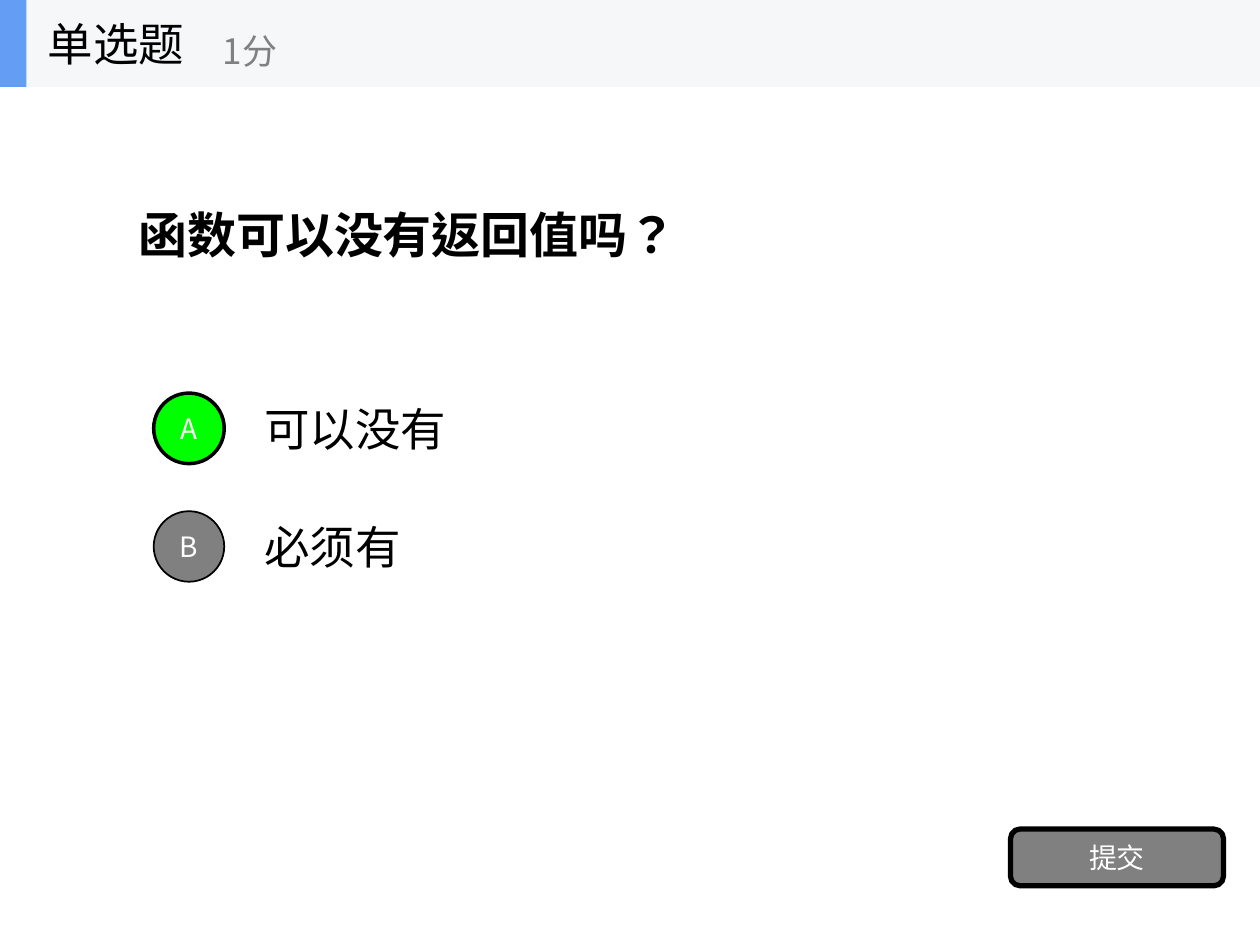
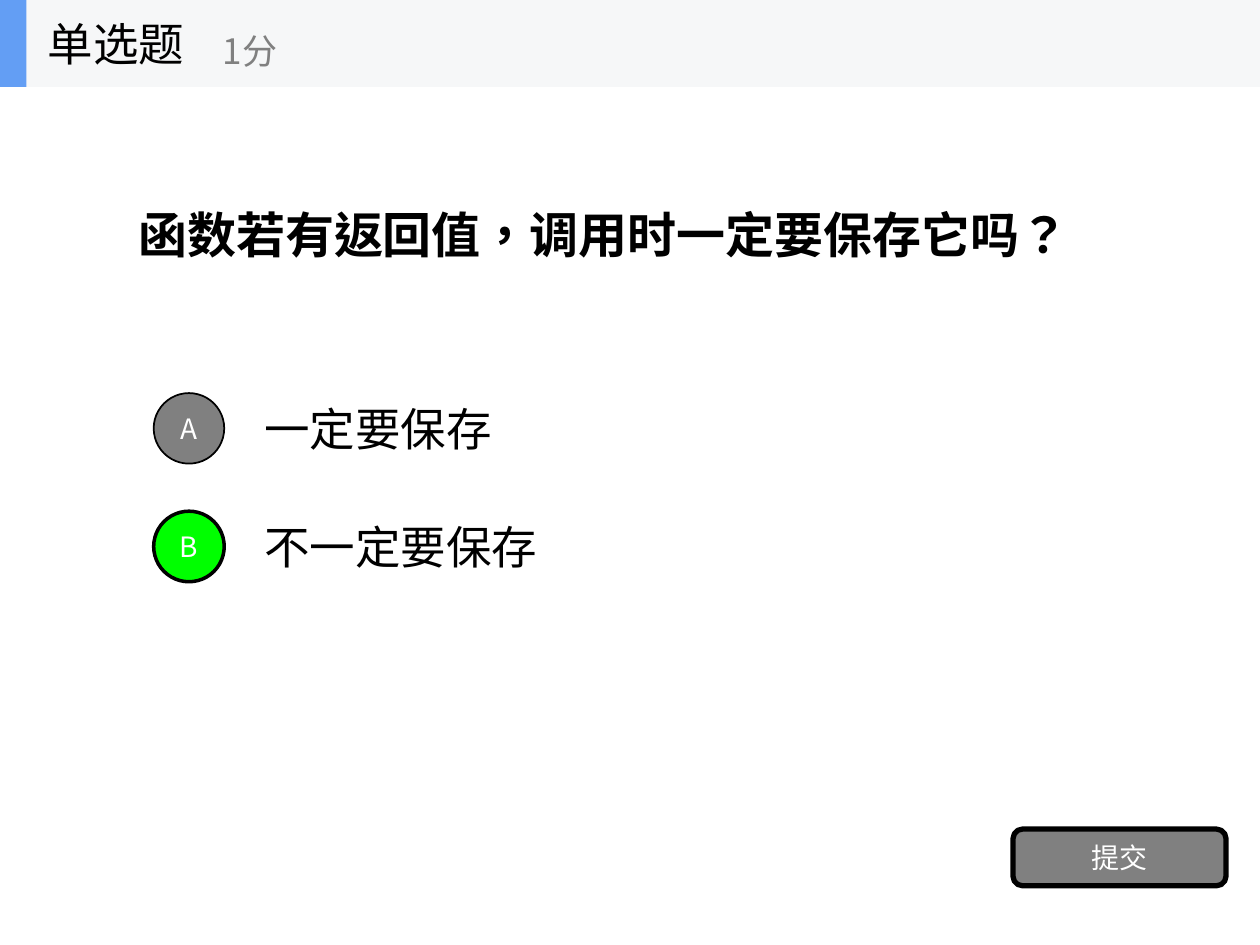
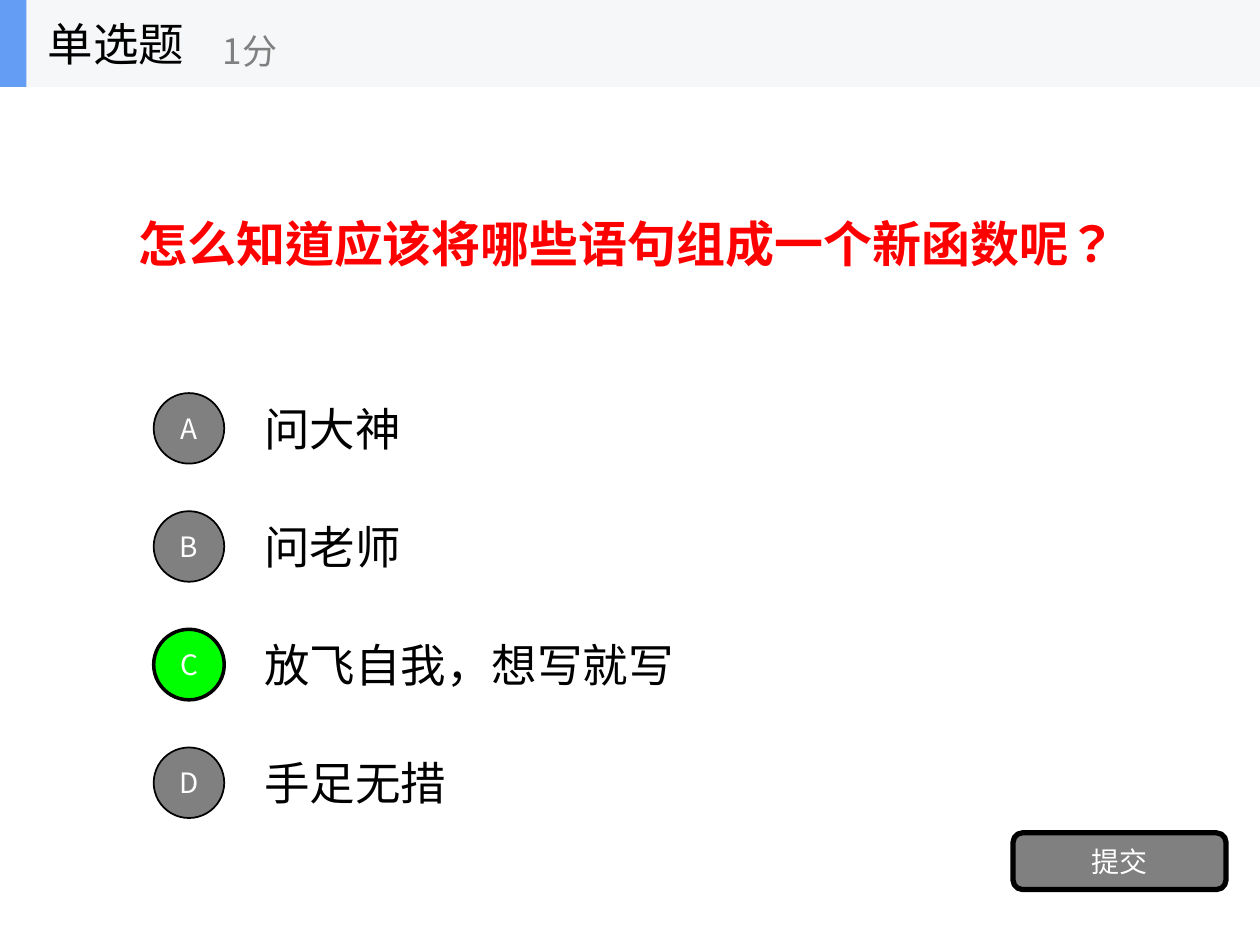
from dataclasses import dataclass

from pptx import Presentation, util as u
from pptx.dml.color import RGBColor
from pptx.enum import lang, shapes, text
from pptx.oxml import ns

# Grid: square cells, 100 columns by 75 rows
COLS, ROWS = 100, 75
CELL = u.Inches(10) // COLS
OPTION_PITCH = ROWS / 8

FONT = "Noto Sans CJK SC"
COLORS = {
    "ink": "000000", "white": "FFFFFF", "grey": "808080", "band": "F6F7F8",
    "accent": "639EF4", "correct": "00FF00", "alert": "FF0000",
}
FORMATS = {
    "question": {"size": u.Pt(28), "bold": True,
                 "language_id": lang.MSO_LANGUAGE_ID.TRADITIONAL_CHINESE},
    "body": {"size": u.Pt(26), "language_id": lang.MSO_LANGUAGE_ID.SIMPLIFIED_CHINESE},
    "points": {"size": u.Pt(20), "language_id": lang.MSO_LANGUAGE_ID.SIMPLIFIED_CHINESE},
    "button": {"size": u.Pt(16), "language_id": lang.MSO_LANGUAGE_ID.SIMPLIFIED_CHINESE},
}

QUIZZES = [
    {"question": "函数可以没有返回值吗？",
     "options": ["可以没有", "必须有"], "correct": 0, "submit_at": (80.2, 65.8)},
    {"question": "函数若有返回值，调用时一定要保存它吗？",
     "options": ["一定要保存", "不一定要保存"], "correct": 1, "submit_at": (80.4, 65.8)},
    {"question": "怎么知道应该将哪些语句组成一个新函数呢？",
     "options": ["问大神", "问老师", "放飞自我，想写就写", "手足无措"],
     "correct": 2, "submit_at": (80.4, 66.1), "color": "alert", "spacing": 1.3},
]


@dataclass
class Box:
    """A rectangle in grid columns and rows."""
    col: float
    row: float
    width: float
    height: float

    def inner(self, col, row, width, height):
        return Box(self.col + col, self.row + row, width, height)

    def emu(self):
        return [round(n * CELL) for n in (self.col, self.row, self.width, self.height)]


def rgb(name):
    return RGBColor.from_string(COLORS[name])


def write(shape, words, style, color, align=text.PP_ALIGN.LEFT, spacing=None):
    frame = shape.text_frame
    frame.word_wrap = True
    frame.vertical_anchor = text.MSO_ANCHOR.MIDDLE
    paragraph = frame.paragraphs[0]
    paragraph.alignment = align
    paragraph.line_spacing = spacing
    run = paragraph.add_run()
    run.text = words
    for key, value in FORMATS[style].items():
        setattr(run.font, key, value)
    run.font.color.rgb = rgb(color)
    run.font.name = FONT
    # East Asian characters take their own typeface entry
    east_asian = run.font._element.makeelement(ns.qn("a:ea"), {"typeface": FONT})
    run.font._element.find(ns.qn("a:latin")).addnext(east_asian)


def add_words(parent, box, words, style, color="ink", **layout):
    write(parent.add_textbox(*box.emu()), words, style, color, **layout)


def add_block(parent, kind, box, fill, line=None):
    block = parent.add_shape(kind, *box.emu())
    block.shadow.inherit = False
    block.fill.solid()
    block.fill.fore_color.rgb = rgb(fill)
    if line:
        block.line.color.rgb = rgb("ink")
        block.line.width = u.Pt(line)
    else:
        block.line.fill.background()
    return block


def add_button(parent, kind, box, words, fill, line):
    button = add_block(parent, kind, box, fill, line)
    if kind == shapes.MSO_SHAPE.OVAL:
        for side in ("left", "right", "top", "bottom"):
            setattr(button.text_frame, f"margin_{side}", 0)
    write(button, words, "button", "white", text.PP_ALIGN.CENTER)


def add_options(parent, box, options, correct):
    rows = [box.inner(0, i * OPTION_PITCH, box.width, 7) for i in range(len(options))]
    for row, option in zip(rows, options):
        add_words(parent, row.inner(10, 0, row.width - 10, row.height), option, "body")
    for i, (row, letter) in enumerate(zip(rows, "ABCD")):
        fill, line = ("correct", 2) if i == correct else ("grey", 1)
        add_button(parent, shapes.MSO_SHAPE.OVAL, row.inner(2.2, 0.7, 5.6, 5.6),
                   letter, fill, line)


def add_header(parent, box):
    header = parent.add_group_shape().shapes
    add_block(header, shapes.MSO_SHAPE.RECTANGLE, box, "band")
    add_block(header, shapes.MSO_SHAPE.RECTANGLE, box.inner(0, 0, 2.1, box.height), "accent")
    add_words(header, box.inner(2.8, 0, 20.8, box.height), "单选题", "body")
    add_words(header, box.inner(16.7, 1.2, 25, 5.6), "1分", "points", "grey")


def add_quiz(deck, quiz):
    parent = deck.slides.add_slide(deck.slide_layouts[6]).shapes
    add_words(parent, Box(10, 6.9, 80, 23.4), quiz["question"], "question",
              quiz.get("color", "ink"), spacing=quiz.get("spacing"))
    add_options(parent, Box(10, 30.5, 80, 4 * OPTION_PITCH), quiz["options"], quiz["correct"])
    add_button(parent, shapes.MSO_SHAPE.ROUNDED_RECTANGLE,
               Box(*quiz["submit_at"], 16.9, 4.5), "提交", "grey", 3)
    add_header(parent, Box(0, 0, COLS, 6.9))


def main():
    deck = Presentation()
    deck.slide_width, deck.slide_height = COLS * CELL, ROWS * CELL
    for quiz in QUIZZES:
        add_quiz(deck, quiz)
    deck.save("out.pptx")


if __name__ == "__main__":
    main()
